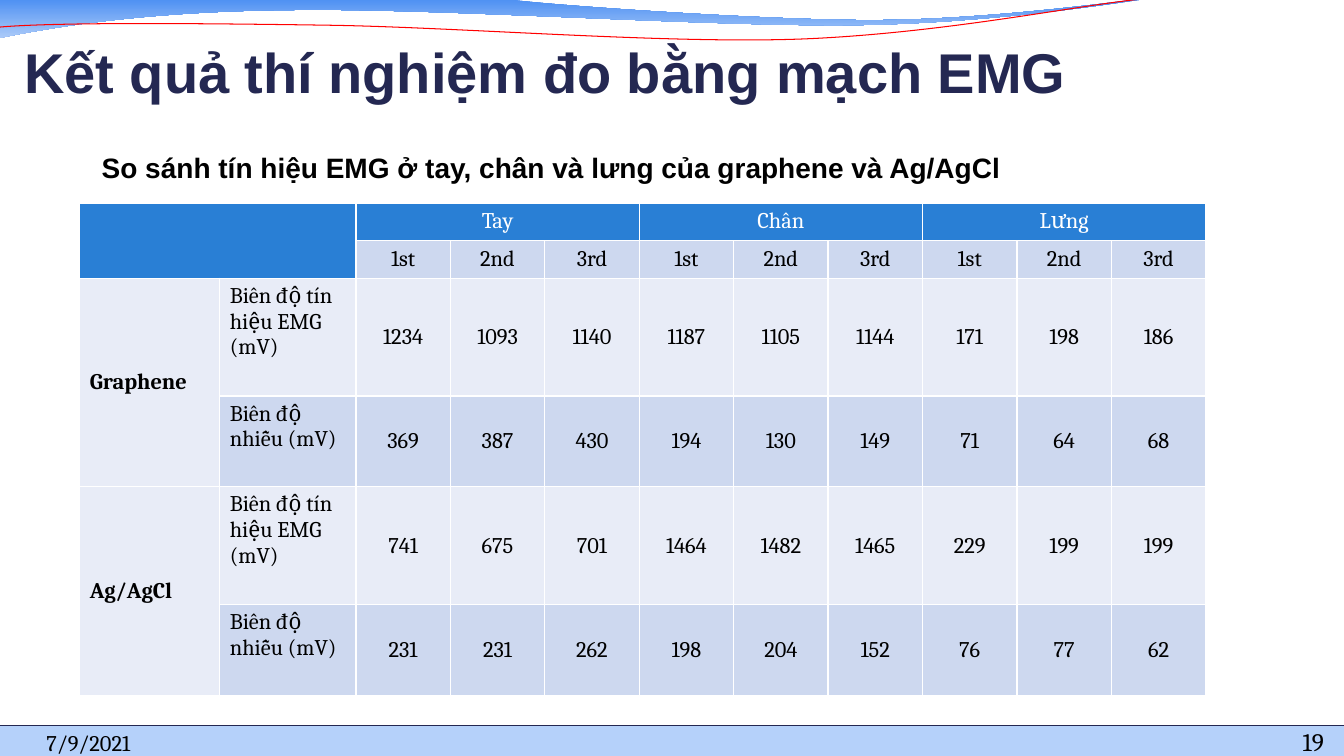
from dataclasses import dataclass

from lxml import etree
from pptx import Presentation
from pptx.dml.color import RGBColor
from pptx.enum.shapes import MSO_CONNECTOR, MSO_SHAPE
from pptx.enum.text import MSO_ANCHOR, MSO_AUTO_SIZE, PP_ALIGN
from pptx.oxml.ns import qn
from pptx.util import Inches, Pt

LEFT, CENTER, RIGHT = PP_ALIGN.LEFT, PP_ALIGN.CENTER, PP_ALIGN.RIGHT
TOP, MIDDLE, BOTTOM = MSO_ANCHOR.TOP, MSO_ANCHOR.MIDDLE, MSO_ANCHOR.BOTTOM
RECTANGLE, STRAIGHT = MSO_SHAPE.RECTANGLE, MSO_CONNECTOR.STRAIGHT
GROW = MSO_AUTO_SIZE.SHAPE_TO_FIT_TEXT


@dataclass(frozen=True)
class Theme:
    heading_font: str = "Arial"
    body_font: str = "Cambria"
    navy: str = "242852"
    black: str = "000000"
    white: str = "FFFFFF"
    red: str = "FF0000"
    wave_top: str = "4A8EF2"
    wave_bottom: str = "ACCBF9"
    footer: str = "B5D1FA"
    header: str = "297FD5"
    light_row: str = "E8ECF7"
    dark_row: str = "CDD8EF"
    title_size: int = 40
    subtitle_size: int = 20
    number_size: int = 18
    body_size: int = 16


THEME = Theme()

# Each wave is a start point followed by segments of one (line) or three (curve) points.
WAVE_BAND = ((-0.01, -0.01), [
    [(5.01, -0.01)],
    [(5.41, 0.05), (7.57, 0.2), (8.63, 0.2)],
    [(9.69, 0.2), (10.91, 0.04), (11.38, -0.02)],
    [(11.38, 0.01), (11.38, -0.05), (11.38, -0.01)],
    [(11.18, 0.01), (9.9, 0.23), (8.49, 0.25)],
    [(7.08, 0.27), (4.34, 0.08), (2.92, 0.1)],
    [(1.46, 0.11), (0.52, 0.27), (-0.02, 0.38)],
    [(-0.01, 0.25), (-0.01, 0.12), (-0.01, -0.01)],
])
WAVE_LINE = ((-0.02, 0.27), [
    [(0.52, 0.22), (1.9, 0.23), (3.25, 0.25)],
    [(4.61, 0.27), (6.75, 0.45), (8.1, 0.38)],
    [(9.45, 0.31), (10.65, 0.06), (11.32, -0.01)],
])

BODY_PARTS = ["Tay", "Chân", "Lưng"]
TRIALS = ["1st", "2nd", "3rd"]
SIGNAL, NOISE = "Biên độ tín hiệu EMG (mV)", "Biên độ nhiễu (mV)"
RESULTS = {
    "Graphene": {
        SIGNAL: [1234, 1093, 1140, 1187, 1105, 1144, 171, 198, 186],
        NOISE: [369, 387, 430, 194, 130, 149, 71, 64, 68],
    },
    "Ag/AgCl": {
        SIGNAL: [741, 675, 701, 1464, 1482, 1465, 229, 199, 199],
        NOISE: [231, 231, 262, 198, 204, 152, 76, 77, 62],
    },
}
LABEL_WIDTHS = [1.39, 1.35]
ROW_HEIGHTS = [0.37, 0.37] + [1.17, 0.9] * len(RESULTS)


def color(code):
    return RGBColor.from_string(code)


def write(frame, text, size, font=THEME.body_font, ink=THEME.black, bold=False, align=LEFT):
    para = frame.paragraphs[0]
    para.alignment = align
    span = para.add_run()
    span.text = text
    span.font.size, span.font.name, span.font.bold = Pt(size), font, bold
    span.font.color.rgb = color(ink)


def set_frame(frame, anchor, margins):
    """Margins run left, top, right, bottom."""
    frame.word_wrap = True
    frame.vertical_anchor = anchor
    (frame.margin_left, frame.margin_top,
     frame.margin_right, frame.margin_bottom) = map(Inches, margins)


def add_text(page, box, text, size, anchor=BOTTOM, margins=(0, 0, 0, 0), **style):
    frame = page.shapes.add_textbox(*map(Inches, box)).text_frame
    set_frame(frame, anchor, margins)
    write(frame, text, size, **style)
    return frame


def add_wave(page, left, top, wave, close):
    """Builds a freeform through the segment ends, then bends its three-point segments."""
    start, segments = wave
    places = [[(Inches(left + x), Inches(top + y)) for x, y in segment]
              for segment in segments]
    builder = page.shapes.build_freeform(Inches(left + start[0]), Inches(top + start[1]))
    builder.add_line_segments([segment[-1] for segment in places], close=close)
    shape = builder.convert_to_shape()
    shape.shadow.inherit = False
    lines = list(shape._element.spPr.iter(qn("a:lnTo")))
    for line, segment in zip(lines, places):
        if len(segment) == 3:
            line.tag = qn("a:cubicBezTo")
            for index, (x, y) in enumerate(segment[:2]):
                control = etree.Element(qn("a:pt"), x=str(x - shape.left), y=str(y - shape.top))
                line.insert(index, control)
    return shape


def add_waves(page, left, top):
    band = add_wave(page, left, top, WAVE_BAND, True)
    band.line.fill.background()
    band.fill.gradient()
    band.fill.gradient_angle = 270
    for stop, code in zip(band.fill.gradient_stops, (THEME.wave_top, THEME.wave_bottom)):
        stop.color.rgb = color(code)
    stroke = add_wave(page, left, top, WAVE_LINE, False)
    stroke.fill.background()
    stroke.line.color.rgb = color(THEME.red)
    stroke.line.width = Pt(0.75)


def add_footer(page, left, top, width, height):
    bar = page.shapes.add_shape(RECTANGLE, *map(Inches, (left, top, width, height)))
    bar.shadow.inherit = False
    bar.fill.solid()
    bar.fill.fore_color.rgb = color(THEME.footer)
    bar.line.fill.background()
    rule = page.shapes.add_connector(STRAIGHT, *map(Inches, (left, top, left + width, top)))
    rule.line.color.rgb = color(THEME.navy)
    rule.line.width = Pt(1)
    etree.SubElement(rule._element.spPr, qn("a:effectLst"))
    add_text(page, (left + 0.46, top - 0.1, 2.25, 0.4), "7/9/2021", THEME.body_size)
    add_text(page, (left + width - 1.32, top + 0.11, 1.12, 0.2), "19",
             THEME.number_size, align=RIGHT)


def add_headings(page, left, top, width):
    title = page.shapes.title
    title.left, title.top, title.width, title.height = map(Inches, (left, top, width, 0.83))
    set_frame(title.text_frame, BOTTOM, (0, 0.05, 0, 0))
    write(title.text_frame, "Kết quả thí nghiệm đo bằng mạch EMG", THEME.title_size,
          THEME.heading_font, THEME.navy, True)
    subtitle = add_text(page, (left + 0.67, top + 1.23, width - 0.76, 0.44),
                        "So sánh tín hiệu EMG ở tay, chân và lưng của graphene và Ag/AgCl",
                        THEME.subtitle_size, TOP, (0.1, 0.05, 0.1, 0.05),
                        font=THEME.heading_font, bold=True)
    subtitle.auto_size = GROW


def style_cell(cell, fill):
    """Sets borders, fill and the type that sizes the cell while it is empty."""
    properties = cell._tc.get_or_add_tcPr()
    for side in ("a:lnL", "a:lnR", "a:lnT", "a:lnB"):
        border = etree.SubElement(properties, qn(side), w=str(Pt(1)))
        solid = etree.SubElement(border, qn("a:solidFill"))
        etree.SubElement(solid, qn("a:srgbClr"), val=THEME.white)
    cell.fill.solid()
    cell.fill.fore_color.rgb = color(fill)
    para = cell.text_frame.paragraphs[0]
    ending = etree.SubElement(para._p, qn("a:endParaRPr"), sz=str(THEME.body_size * 100))
    etree.SubElement(ending, qn("a:latin"), typeface=THEME.body_font)


def fill_cell(cell, text, anchor=TOP, **style):
    cell.vertical_anchor = anchor
    write(cell.text_frame, text, THEME.body_size, **style)


def add_results(page, left, top, width):
    labels, trials = len(LABEL_WIDTHS), len(TRIALS)
    value_count = len(BODY_PARTS) * trials
    value_width = (width - sum(LABEL_WIDTHS)) / value_count
    widths = LABEL_WIDTHS + [value_width] * value_count
    table = page.shapes.add_table(
        len(ROW_HEIGHTS), len(widths),
        *map(Inches, (left, top, width, sum(ROW_HEIGHTS)))).table
    table.first_row = table.horz_banding = False
    for column, size in zip(table.columns, widths):
        column.width = Inches(size)
    for index, (row, size) in enumerate(zip(table.rows, ROW_HEIGHTS)):
        row.height = Inches(size)
        for position, cell in enumerate(row.cells):
            is_header = index == 0 or (index == 1 and position < labels)
            is_light = index > 1 and (index % 2 == 0 or position == 0)
            style_cell(cell, THEME.header if is_header
                       else THEME.light_row if is_light else THEME.dark_row)

    table.cell(0, 0).merge(table.cell(1, labels - 1))
    for group, part in enumerate(BODY_PARTS):
        first = labels + group * trials
        table.cell(0, first).merge(table.cell(0, first + trials - 1))
        fill_cell(table.cell(0, first), part, ink=THEME.white, align=CENTER)
        for offset, trial in enumerate(TRIALS):
            fill_cell(table.cell(1, first + offset), trial, align=CENTER)

    row = 2
    for material, measures in RESULTS.items():
        table.cell(row, 0).merge(table.cell(row + len(measures) - 1, 0))
        fill_cell(table.cell(row, 0), material, MIDDLE, bold=True)
        for measure, values in measures.items():
            fill_cell(table.cell(row, 1), measure)
            for column, value in enumerate(values, labels):
                fill_cell(table.cell(row, column), str(value), MIDDLE, align=CENTER)
            row += 1


def main():
    deck = Presentation()
    deck.slide_width, deck.slide_height = Inches(13.33), Inches(7.5)
    page = deck.slides.add_slide(deck.slide_layouts.get_by_name("Title Only"))
    add_waves(page, 0, 0)
    add_footer(page, 0, 7.2, 13.33, 0.31)
    add_headings(page, 0.24, 0.21, 11.69)
    add_results(page, 0.79, 2.02, 11.17)
    deck.save("out.pptx")


if __name__ == "__main__":
    main()
